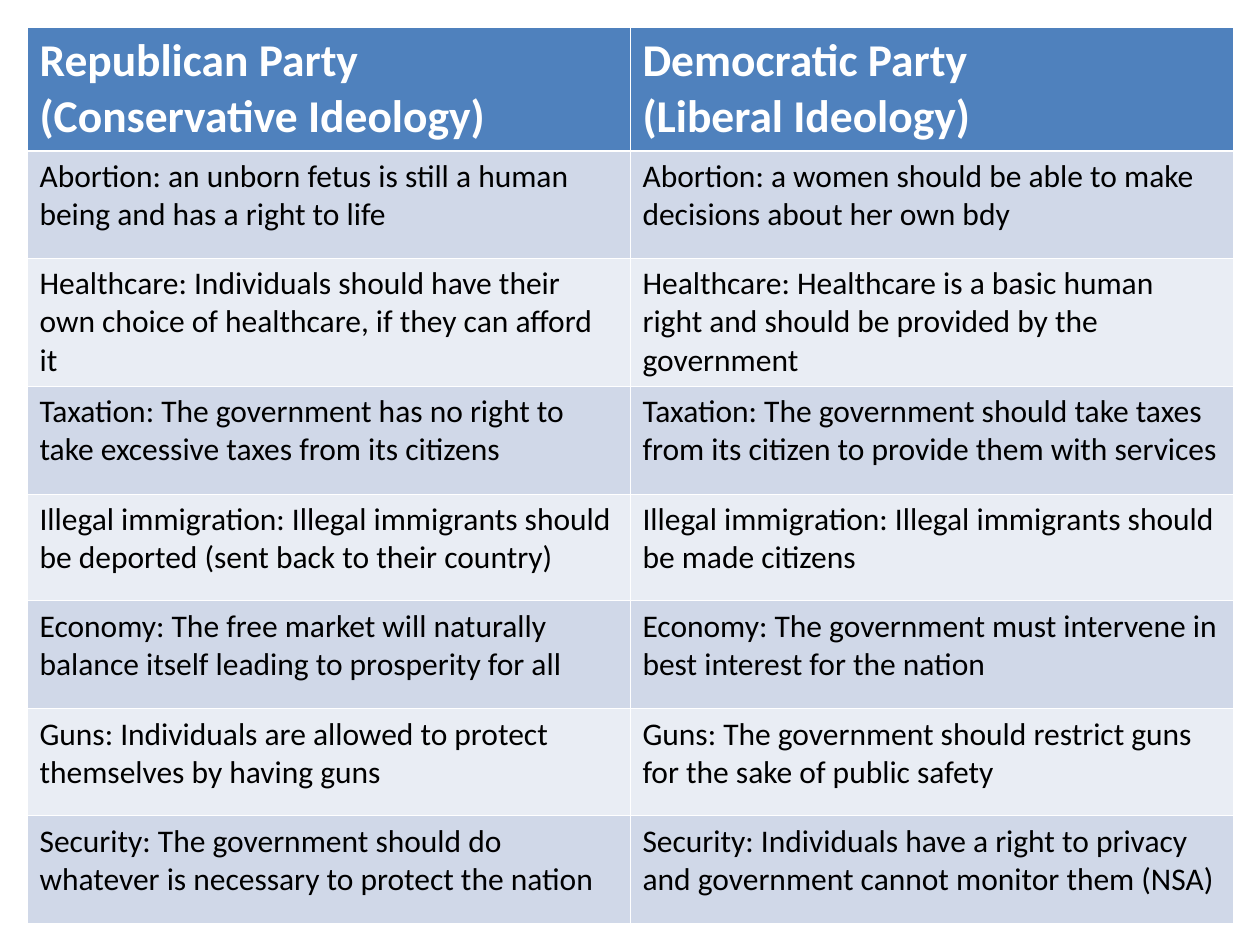
from dataclasses import dataclass
from itertools import pairwise

from lxml import etree
from pptx import Presentation
from pptx.dml.color import RGBColor
from pptx.oxml.ns import qn
from pptx.table import Table, _Cell
from pptx.util import Emu, Pt

SCALE = 914400 / 126  # EMU in one px
COLORS = {
    "white": "FFFFFF",
    "black": "000000",
    "head": "4F81BD",
    "dark": "D0D8E8",
    "light": "E9EDF4",
}
FONT = "Calibri"
THIN, THICK = 0.45, 1.47

# Edges of columns and rows, in px
COLS = (27, 630, 1233)
ROWS = (27, 151, 258, 386, 494, 601, 709, 816, 924)


@dataclass(frozen=True)
class Look:
    fill: str
    ink: str
    size: int
    bold: bool


HEAD = Look("head", "white", 26, True)
BANDS = (Look("dark", "black", 18, False), Look("light", "black", 18, False))

# Left and right cell of each row; a line break starts a new paragraph
TEXTS = (
    ("Republican Party (Conservative Ideology)",
     "Democratic Party\n(Liberal Ideology)"),
    ("Abortion: an unborn fetus is still a human being and has a right to life",
     "Abortion: a women should be able to make decisions about her own bdy"),
    ("Healthcare: Individuals should have their own choice of healthcare, "
     "if they can afford it",
     "Healthcare: Healthcare is a basic human right and should be provided "
     "by the government"),
    ("Taxation: The government has no right to take excessive taxes from its "
     "citizens",
     "Taxation: The government should take taxes from its citizen to provide "
     "them with services"),
    ("Illegal immigration: Illegal immigrants should be deported (sent back to "
     "their country)",
     "Illegal immigration: Illegal immigrants should be made citizens"),
    ("Economy: The free market will naturally balance itself leading to "
     "prosperity for all",
     "Economy: The government must intervene in best interest for the nation"),
    ("Guns: Individuals are allowed to protect themselves by having guns",
     "Guns: The government should restrict guns for the sake of public safety"),
    ("Security: The government should do whatever is necessary to protect the "
     "nation",
     "Security: Individuals have a right to privacy and government cannot "
     "monitor them (NSA)"),
)


def px(n: int) -> Emu:
    return Emu(round(n * SCALE))


def rgb(name: str) -> RGBColor:
    return RGBColor.from_string(COLORS[name])


def rule_cell(cell: _Cell, row: int) -> None:
    """Draw white borders, thicker below the heading."""
    widths = {
        "L": THIN,
        "R": THIN,
        "T": THICK if row == 1 else THIN,
        "B": THICK if row == 0 else THIN,
    }
    props = cell._tc.get_or_add_tcPr()
    for side, width in widths.items():
        line = etree.SubElement(props, qn(f"a:ln{side}"), w=str(Pt(width)))
        fill = etree.SubElement(line, qn("a:solidFill"))
        etree.SubElement(fill, qn("a:srgbClr"), val=COLORS["white"])


def fill_cell(cell: _Cell, text: str, look: Look) -> None:
    cell.fill.solid()
    cell.fill.fore_color.rgb = rgb(look.fill)
    cell.text_frame.text = text
    for para in cell.text_frame.paragraphs:
        for run in para.runs:
            run.font.name = FONT
            run.font.size = Pt(look.size)
            run.font.bold = look.bold
            run.font.color.rgb = rgb(look.ink)


def size_grid(table: Table) -> None:
    for col, (left, right) in zip(table.columns, pairwise(COLS)):
        col.width = px(right - left)
    for row, (top, base) in zip(table.rows, pairwise(ROWS)):
        row.height = px(base - top)


def main() -> None:
    deck = Presentation()
    deck.slide_width, deck.slide_height = px(1260), px(945)
    slide = deck.slides.add_slide(deck.slide_layouts[6])

    # Table of party views
    table = slide.shapes.add_table(
        len(TEXTS), 2, px(COLS[0]), px(ROWS[0]),
        px(COLS[-1] - COLS[0]), px(ROWS[-1] - ROWS[0]),
    ).table
    table.horz_banding = False
    size_grid(table)

    # Heading, then rows in two alternating bands
    for i, pair in enumerate(TEXTS):
        look = BANDS[(i - 1) % 2] if i else HEAD
        for j, text in enumerate(pair):
            cell = table.cell(i, j)
            rule_cell(cell, i)
            fill_cell(cell, text, look)

    deck.save("out.pptx")


if __name__ == "__main__":
    main()
